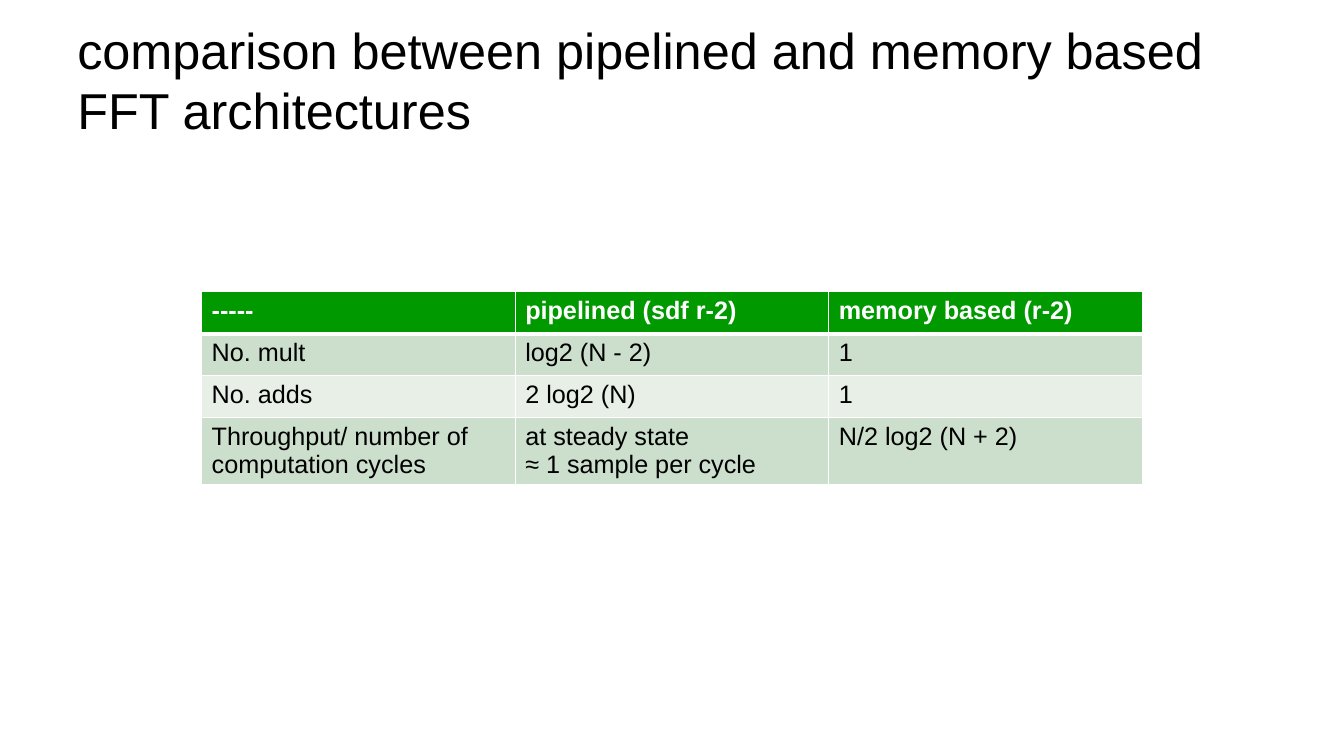
"""Build a slide comparing pipelined and memory based FFT architectures."""
from lxml import etree
from pptx import Presentation
from pptx import util as u
from pptx.dml.color import RGBColor
from pptx.enum import text
from pptx.oxml import ns

PX = 9525
ROWS = [
    ["-----", "pipelined (sdf r-2)", "memory based (r-2)"],
    ["No. mult", "log2 (N - 2)", "1"],
    ["No. adds", "2 log2 (N)", "1"],
    ["Throughput/ number of computation cycles",
     "at steady state\n≈ 1 sample per cycle", "N/2 log2 (N + 2)"],
]
ROW_HEIGHTS = [40, 40, 40, 63]
ROW_FILLS = ["009900", "CCDECC", "E7EFE7", "CCDECC"]


def paint(color_format, color):
    """Apply a hex colour to a colour format."""
    color_format.rgb = RGBColor.from_string(color)


def write(frame, content, size=18, color="000000", bold=False):
    """Write left-aligned Arial text, one paragraph per line."""
    frame.text = content
    for paragraph in frame.paragraphs:
        paragraph.alignment = text.PP_ALIGN.LEFT
        for run in paragraph.runs:
            run.font.name = "Arial"
            run.font.size = u.Pt(size)
            run.font.bold = bold
            paint(run.font.color, color)


def add_border(cell, side, width):
    """Give one side of a cell a white line."""
    properties = cell._tc.get_or_add_tcPr()
    line = etree.SubElement(properties, ns.qn(f"a:ln{side}"), w=str(u.Pt(width)))
    fill = etree.SubElement(line, ns.qn("a:solidFill"))
    etree.SubElement(fill, ns.qn("a:srgbClr"), val="FFFFFF")


def place_title(slide, left, top, width, height):
    """Move the title placeholder into its box and fill it."""
    title = slide.shapes.title
    title.left, title.top = left * PX, top * PX
    title.width, title.height = width * PX, height * PX
    frame = title.text_frame
    frame.word_wrap = True
    frame.auto_size = text.MSO_AUTO_SIZE.NONE
    frame.vertical_anchor = text.MSO_ANCHOR.MIDDLE
    write(frame, "comparison between pipelined and memory based FFT architectures",
          size=36)


def place_comparison(slide, left, top, width):
    """Place the comparison table with equal columns across the given width."""
    shape = slide.shapes.add_table(
        len(ROWS), len(ROWS[0]), left * PX, top * PX,
        width * PX, sum(ROW_HEIGHTS) * PX)
    table = shape.table
    for row_index, row in enumerate(ROWS):
        table.rows[row_index].height = ROW_HEIGHTS[row_index] * PX
        header = row_index == 0
        widths = {"L": 1, "R": 1, "T": 3 if row_index == 1 else 1,
                  "B": 3 if header else 1}
        for column_index, content in enumerate(row):
            cell = table.cell(row_index, column_index)
            for side, line_width in widths.items():
                add_border(cell, side, line_width)
            cell.fill.solid()
            paint(cell.fill.fore_color, ROW_FILLS[row_index])
            write(cell.text_frame, content, bold=header,
                  color="FFFFFF" if header else "000000")


def main():
    """Create and save the presentation."""
    presentation = Presentation()
    presentation.slide_width, presentation.slide_height = 1280 * PX, 720 * PX
    slide = presentation.slides.add_slide(presentation.slide_layouts[5])
    place_title(slide, 64, 20, 1152, 111)
    place_comparison(slide, 192, 278, 896)
    presentation.save("out.pptx")


if __name__ == "__main__":
    main()
